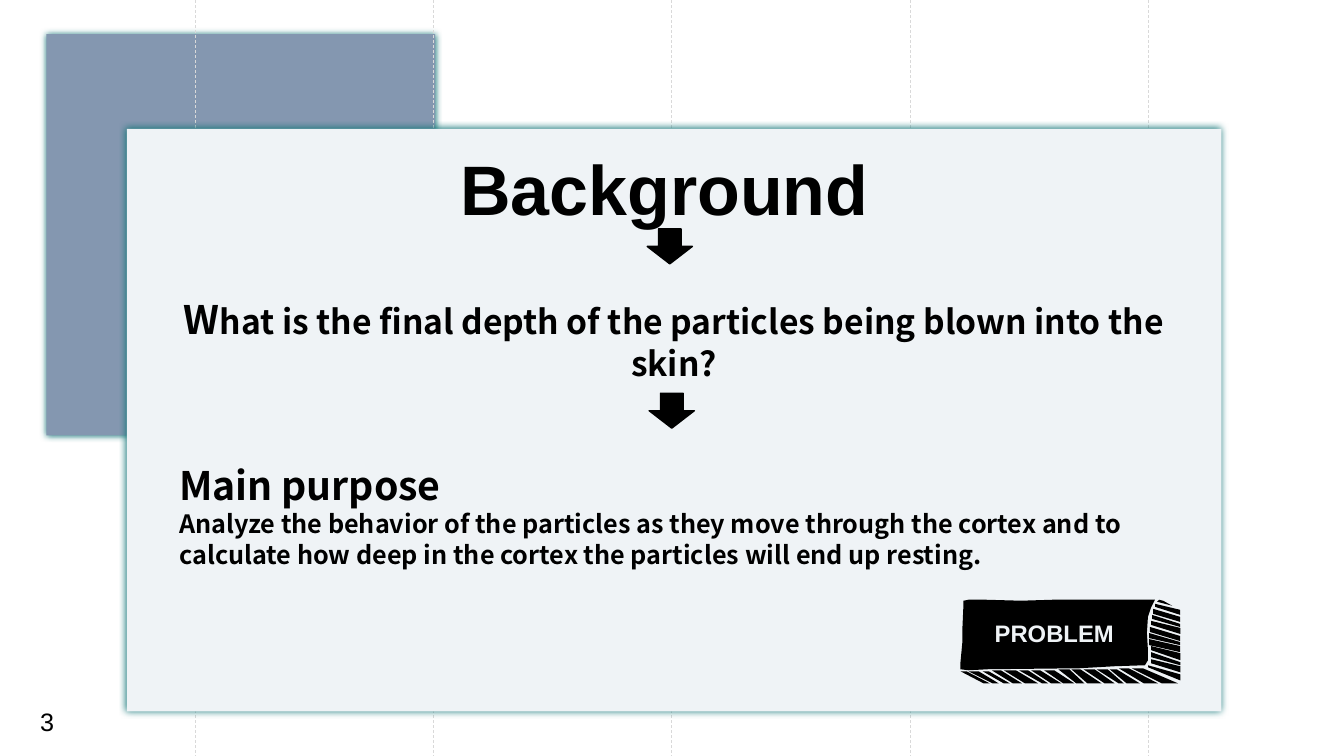
from dataclasses import dataclass

from lxml.etree import SubElement
from pptx import Presentation
from pptx.dml.color import RGBColor
from pptx.enum.dml import MSO_LINE
from pptx.enum.shapes import MSO_CONNECTOR, MSO_SHAPE
from pptx.enum.text import PP_ALIGN
from pptx.oxml.ns import qn
from pptx.util import Cm, Pt


@dataclass(frozen=True)
class Theme:
    ink: str = "000000"
    pale: str = "EFF3F6"
    slate: str = "8497B0"
    glow: str = "127577"
    rule: str = "D9D9D9"
    sans: str = "Arial"
    noto: str = "Noto Sans CJK SC"
    title: int = 50
    head: int = 28
    ask: int = 24
    body: int = 18
    label: int = 17


THEME = Theme()
UNIT = Cm(2.54) / 100  # drawing unit of the sketched block

# Front face of the block
FACE = [(956, 599), (956, 596), (961, 595), (978, 595), (1013, 596), (1045, 595),
        (1146, 595), (1142, 603), (1139, 612), (1138, 628), (1139, 645), (1139, 655),
        (1136, 660), (1106, 661), (1071, 663), (980, 664), (961, 665), (953, 664),
        (953, 657), (955, 636), (955, 622)]
NOTCH = [(1148, 597), (1150, 595), (1154, 596), (1163, 601)]

# Side strokes: left x, left top, left bottom, right bottom, right top
SIDE = [(1146, 599, 602, 610, 605), (1144, 604, 609, 617, 612),
        (1143, 610, 614, 622, 619), (1142, 616, 620, 629, 623),
        (1141, 622, 627, 636, 631), (1140, 628, 633, 640, 637),
        (1140, 634, 640, 647, 641), (1142, 641, 645, 655, 648),
        (1142, 647, 652, 660, 657), (1142, 654, 658, 667, 661),
        (1139, 660, 662, 675, 669)]

# Base strokes: top left, top right, bottom right, bottom left x
BASE = [(953, 959, 982, 976), (961, 971, 991, 985), (975, 981, 1002, 996),
        (984, 993, 1014, 1005), (996, 1008, 1030, 1017), (1011, 1020, 1040, 1034),
        (1023, 1032, 1053, 1043), (1036, 1046, 1066, 1055), (1050, 1061, 1076, 1068),
        (1063, 1072, 1093, 1079), (1075, 1086, 1106, 1096), (1088, 1099, 1115, 1110),
        (1101, 1108, 1131, 1118), (1110, 1120, 1149, 1135), (1123, 1134, 1169, 1153)]


def paint(shape, tone):
    shape.shadow.inherit = False
    shape.fill.solid()
    shape.fill.fore_color.rgb = RGBColor.from_string(tone)
    shape.line.fill.background()


def add_form(slide, kind, box, tone):
    form = slide.shapes.add_shape(kind, *map(Cm, box))
    paint(form, tone)
    return form


def add_panel(slide, box, tone):
    panel = add_form(slide, MSO_SHAPE.RECTANGLE, box, tone)
    glow = SubElement(panel.element.spPr.find(qn("a:effectLst")), qn("a:outerShdw"),
                      blurRad=str(Pt(5)), dist="0", dir="0", algn="ctr", rotWithShape="0")
    SubElement(glow, qn("a:srgbClr"), val=THEME.glow)


def add_guide(slide, x):
    guide = slide.shapes.add_connector(MSO_CONNECTOR.STRAIGHT, Cm(x), 0, Cm(x), Cm(19.05))
    guide.line.color.rgb = RGBColor.from_string(THEME.rule)
    guide.line.width = Pt(0.5)
    guide.line.dash_style = MSO_LINE.DASH
    SubElement(guide.element.spPr, qn("a:effectLst"))


def add_arrow(slide, x, y):
    arrow = add_form(slide, MSO_SHAPE.DOWN_ARROW, (x, y, 1.14, 0.88), THEME.ink)
    arrow.line.color.rgb = RGBColor.from_string(THEME.ink)
    arrow.line.width = Pt(1)


def add_patch(slide, points):
    pen = slide.shapes.build_freeform(*points[0], scale=UNIT)
    pen.add_line_segments(points[1:], close=True)
    paint(pen.convert_to_shape(), THEME.ink)


def add_block(slide):
    add_patch(slide, FACE)
    add_patch(slide, NOTCH)
    for x, top, low, end, start in SIDE:
        add_patch(slide, [(x, top), (x, low), (1171, end), (1171, start)])
    for i, (left, right, end, start) in enumerate(BASE):
        top = 666 - round(i / 5)
        add_patch(slide, [(left, top), (right, top), (end, 678), (start, 678)])


def add_text(slide, box, lines, font, tone=THEME.ink, bold=True,
             align=PP_ALIGN.LEFT, space=None):
    """Each line is a list of (text, size) runs."""
    frame = slide.shapes.add_textbox(*map(Cm, box)).text_frame
    frame.word_wrap = True
    for i, line in enumerate(lines):
        para = frame.add_paragraph() if i else frame.paragraphs[0]
        para.alignment = align
        para.line_spacing = space
        for text, size in line:
            run = para.add_run()
            run.text = text
            run.font.name = font
            run.font.size = Pt(size)
            run.font.bold = bold
            run.font.color.rgb = RGBColor.from_string(tone)
            SubElement(run.font._element, qn("a:ea"), typeface=font)


def main():
    deck = Presentation()
    deck.slide_width, deck.slide_height = Cm(33.87), Cm(19.05)
    slide = deck.slides.add_slide(deck.slide_layouts[6])

    # Backdrop
    add_panel(slide, (1.17, 0.86, 9.8, 10.11), THEME.slate)
    for i in range(5):
        add_guide(slide, 4.93 + 6 * i)
    add_panel(slide, (3.2, 3.25, 27.58, 14.68), THEME.pale)

    # Title
    add_text(slide, (11.35, 3.12, 12.5, 2.59), [[("Background", THEME.title)]],
             THEME.sans, space=1.2)

    # Problem block
    add_block(slide)
    add_text(slide, (23.65, 15.47, 5.84, 0.99), [[("PROBLEM", THEME.label)]],
             THEME.sans, THEME.pale, align=PP_ALIGN.CENTER)

    # Flow from title to purpose
    add_arrow(slide, 16.31, 5.77)
    add_arrow(slide, 16.36, 9.91)
    add_text(slide, (3.66, 7.32, 26.64, 1.45),
             [[("W", THEME.head),
               ("hat is the final depth of the particles being blown into the skin?",
                THEME.ask)]],
             THEME.noto, align=PP_ALIGN.CENTER)
    add_text(slide, (4.27, 11.51, 25.55, 3),
             [[("Main purpose", THEME.head)],
              [("Analyze the behavior of the particles as they move through the cortex "
                "and to calculate how deep in the cortex the particles will end up "
                "resting.", THEME.body)]],
             THEME.noto)

    # Slide number
    add_text(slide, (0.76, 17.68, 2.51, 1.02), [[("3", THEME.body)]],
             THEME.sans, bold=False)

    deck.save("out.pptx")


if __name__ == "__main__":
    main()
